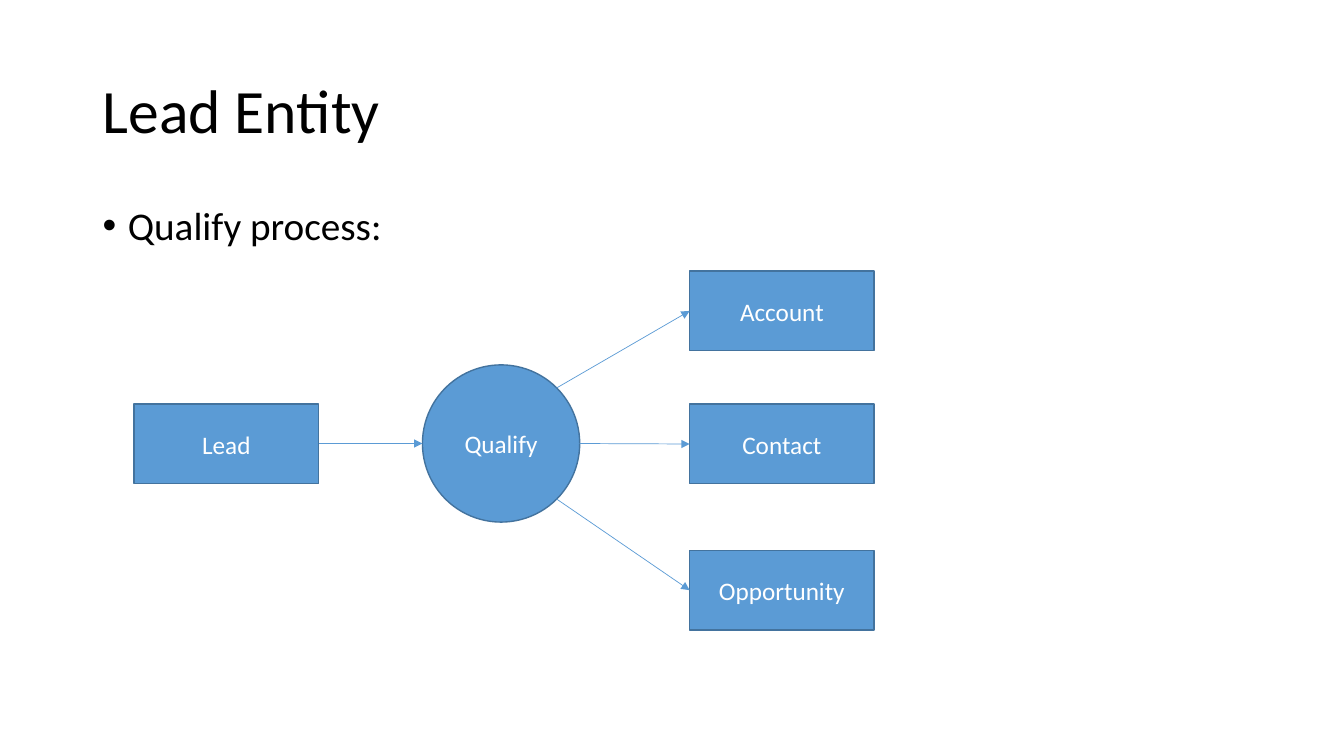
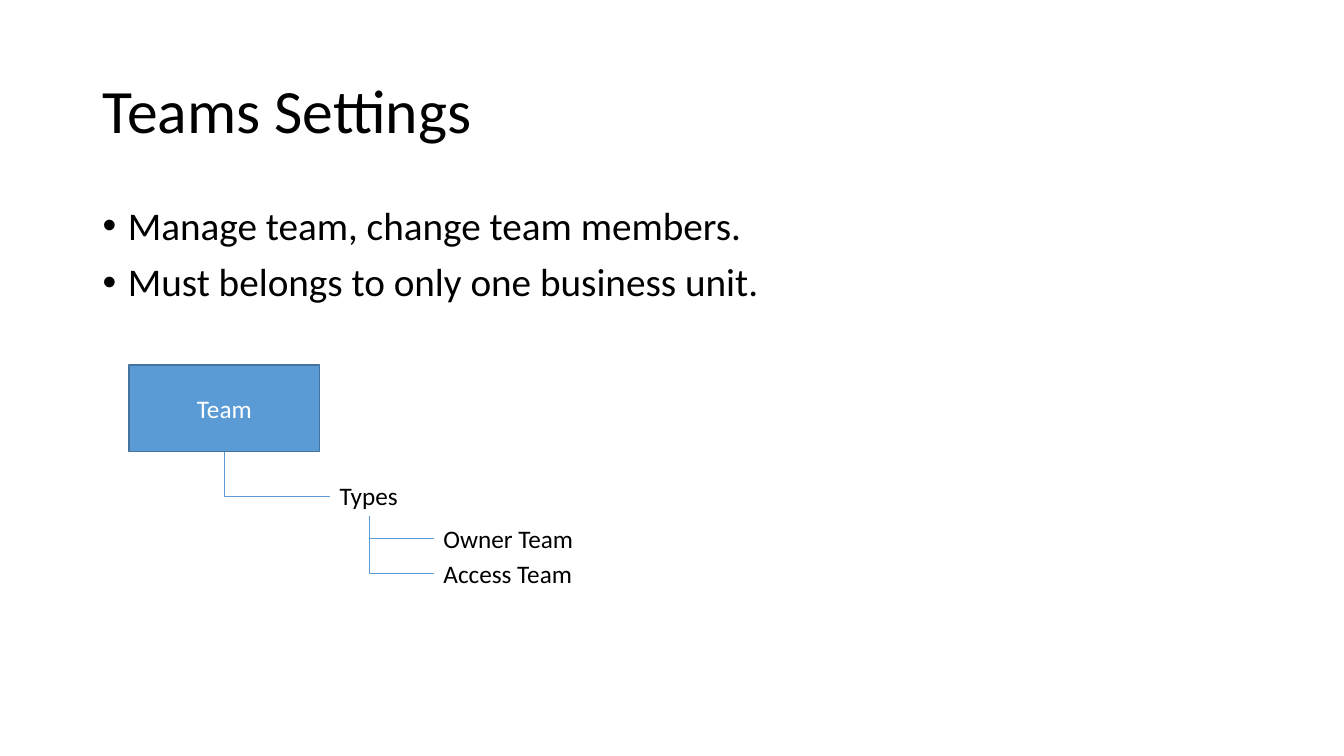
from math import sqrt

from lxml import etree
from pptx import Presentation
from pptx.dml.color import RGBColor
from pptx.enum.shapes import MSO_CONNECTOR, MSO_SHAPE
from pptx.enum.text import MSO_ANCHOR, MSO_AUTO_SIZE, PP_ALIGN
from pptx.oxml.ns import qn
from pptx.util import Emu, Pt

RECTANGLE, ELLIPSE = MSO_SHAPE.RECTANGLE, MSO_SHAPE.OVAL
STRAIGHT, ELBOW = MSO_CONNECTOR.STRAIGHT, MSO_CONNECTOR.ELBOW
TOP, MIDDLE = MSO_ANCHOR.TOP, MSO_ANCHOR.MIDDLE
CENTER = PP_ALIGN.CENTER
GROW = MSO_AUTO_SIZE.SHAPE_TO_FIT_TEXT
LEFT_SITE, BOTTOM_SITE = 1, 2

BLACK = RGBColor(0x00, 0x00, 0x00)
WHITE = RGBColor(0xFF, 0xFF, 0xFF)
BLUE = RGBColor(0x5B, 0x9B, 0xD5)
DARK_BLUE = RGBColor(0x43, 0x73, 0x9E)

EMU_PER_PX = 9144  # 100 px to the inch
SLIDE_SIZE = (1333, 750)
TITLE_AREA = (92, 40, 1150, 145)
BODY_AREA = (92, 200, 1150, 476)
BULLET_INDENT = 25
LABEL_HEIGHT = 40

TITLE_FONT = {"name": "Calibri", "size": Pt(44)}
BODY_FONT = {"name": "Calibri", "size": Pt(28)}
LABEL_FONT = {"name": "Calibri", "size": Pt(18)}
TIGHT = {"line_spacing": 0.9}
BULLETED = {"line_spacing": 0.9, "space_before": Pt(10)}
CENTERED = {"alignment": CENTER}
AT_TOP = {"word_wrap": True, "vertical_anchor": TOP}
AT_MIDDLE = {"word_wrap": True, "vertical_anchor": MIDDLE}
GROWING = {"word_wrap": True, "vertical_anchor": TOP, "auto_size": GROW}


def px(value):
    return Emu(round(value * EMU_PER_PX))


def set_values(target, values):
    for name, value in values.items():
        setattr(target, name, value)


class Deck:
    """Holds the presentation, its shared style and the current slide."""

    def __init__(self):
        self.presentation = Presentation()
        width, height = SLIDE_SIZE
        set_values(self.presentation, {"slide_width": px(width), "slide_height": px(height)})
        self.slide = None

    def add_slide(self, title, bullets):
        self.slide = self.presentation.slides.add_slide(self.presentation.slide_layouts[6])
        self.text_box(TITLE_AREA, [title], TITLE_FONT, TIGHT, AT_MIDDLE)
        body = self.text_box(BODY_AREA, bullets, BODY_FONT, BULLETED, AT_TOP)
        for paragraph in body.text_frame.paragraphs:
            self.bullet(paragraph)

    def fill_text(self, shape, lines, font, color, paragraph_format, frame_format):
        frame = shape.text_frame
        set_values(frame, frame_format)
        for index, line in enumerate(lines):
            paragraph = frame.add_paragraph() if index else frame.paragraphs[0]
            set_values(paragraph, paragraph_format)
            run = paragraph.add_run()
            run.text = line
            set_values(run.font, font)
            run.font.color.rgb = color

    def bullet(self, paragraph):
        properties = paragraph._p.get_or_add_pPr()
        properties.set("marL", str(px(BULLET_INDENT)))
        properties.set("indent", str(px(-BULLET_INDENT)))
        etree.SubElement(properties, qn("a:buFont"), typeface="Arial")
        etree.SubElement(properties, qn("a:buChar"), char="•")

    def text_box(self, area, lines, font, paragraph_format, frame_format):
        box = self.slide.shapes.add_textbox(*map(px, area))
        self.fill_text(box, lines, font, BLACK, paragraph_format, frame_format)
        return box

    def label(self, left, top, width, text):
        area = (left, top, width, LABEL_HEIGHT)
        return self.text_box(area, [text], LABEL_FONT, {}, GROWING)

    def node(self, area, text, kind=RECTANGLE):
        shape = self.slide.shapes.add_shape(kind, *map(px, area))
        shape.shadow.inherit = False
        shape.fill.solid()
        shape.fill.fore_color.rgb = BLUE
        shape.line.color.rgb = DARK_BLUE
        shape.line.width = Pt(1)
        self.fill_text(shape, [text], LABEL_FONT, WHITE, CENTERED, AT_MIDDLE)
        return shape

    def connector(self, kind, start, end, arrow=False):
        connector = self.slide.shapes.add_connector(kind, *map(px, start + end))
        connector.line.color.rgb = BLUE
        connector.line.width = Pt(0.5)
        properties = connector._element.spPr
        if arrow:
            etree.SubElement(properties.find(qn("a:ln")), qn("a:tailEnd"), type="triangle")
        etree.SubElement(properties, qn("a:effectLst"))
        return connector

    def arrow(self, start, end):
        self.connector(STRAIGHT, start, end, arrow=True)

    def branch(self, parent, child):
        """Joins the parent's bottom to the child's left side with one bend."""
        connector = self.connector(ELBOW, (0, 0), (0, 0))
        connector.begin_connect(parent, BOTTOM_SITE)
        connector.end_connect(child, LEFT_SITE)
        across = connector.end_x - connector.begin_x
        down = connector.end_y - connector.begin_y
        # A one-bend connector runs right then down; mirrored and turned, down then right.
        set_values(connector, {
            "left": Emu(connector.begin_x + (across - down) // 2),
            "top": Emu(connector.begin_y + (down - across) // 2),
            "width": Emu(down),
            "height": Emu(across),
        })
        properties = connector._element.spPr
        properties.find(qn("a:prstGeom")).set("prst", "bentConnector2")
        transform = properties.find(qn("a:xfrm"))
        transform.set("rot", "16200000")
        transform.set("flipH", "1")


def lead_slide(deck):
    deck.add_slide("Lead Entity", ["Qualify process:"])
    width, height = 183, 79
    lead_left, result_left, middle_y = 133, 684, 440
    circle_x, radius = 497, 78
    diagonal = radius / sqrt(2)

    deck.node((lead_left, 401, width, height), "Lead")
    deck.node((circle_x - radius, middle_y - radius, 2 * radius, 2 * radius), "Qualify", ELLIPSE)
    deck.arrow((lead_left + width, middle_y), (circle_x - radius, middle_y))
    results = [
        ("Account", 269, diagonal, -diagonal),
        ("Contact", 401, radius, 0),
        ("Opportunity", 546, diagonal, diagonal),
    ]
    for text, top, offset_x, offset_y in results:
        deck.node((result_left, top, width, height), text)
        deck.arrow((circle_x + offset_x, middle_y + offset_y), (result_left, top + height / 2))


def teams_slide(deck):
    deck.add_slide("Teams Settings", [
        "Manage team, change team members.",
        "Must belongs to only one business unit.",
    ])
    team = deck.node((128, 362, 189, 86), "Team")
    types = deck.label(327, 472, 79, "Types")
    deck.branch(team, types)
    for text, top, width in [("Owner Team", 514, 200), ("Access Team", 549, 173)]:
        deck.branch(types, deck.label(430, top, width, text))


def main():
    deck = Deck()
    lead_slide(deck)
    teams_slide(deck)
    deck.presentation.save("out.pptx")


if __name__ == "__main__":
    main()
